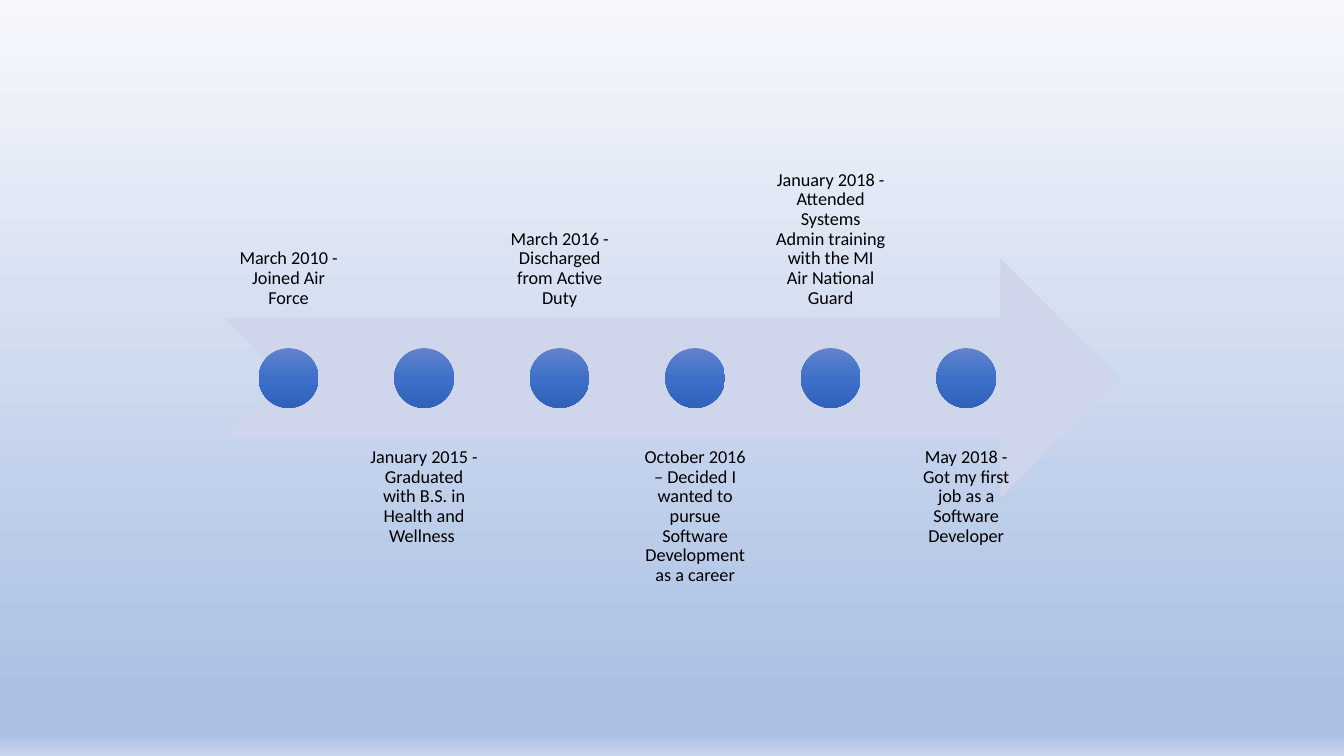
"""Build a career timeline slide with a notched arrow and six milestones."""
from lxml import etree
from pptx import Presentation
from pptx.dml.color import RGBColor
from pptx.enum.shapes import MSO_SHAPE
from pptx.enum.text import MSO_ANCHOR, PP_ALIGN
from pptx.oxml.ns import qn
from pptx.util import Inches, Pt

ARROW = MSO_SHAPE.NOTCHED_RIGHT_ARROW
CIRCLE = MSO_SHAPE.OVAL
TOP, BOTTOM = MSO_ANCHOR.TOP, MSO_ANCHOR.BOTTOM
CENTER = PP_ALIGN.CENTER

SLIDE_WIDTH, SLIDE_HEIGHT = 13.33, 7.5
BACKGROUND_STOPS = [(0, "F6F8FC"), (92, "ABC0E4"), (97, "ABC0E4"), (100, "C7D5ED")]
MARKER_STOPS = [(0, "6183CB"), (50, "3E70CA"), (100, "3062BB")]
MILESTONES = [
    "March 2010 - Joined Air Force",
    "January 2015 - Graduated with B.S. in Health and Wellness ",
    "March 2016 - Discharged from Active Duty",
    "October 2016 – Decided I wanted to pursue Software Development as a career",
    "January 2018 - Attended Systems Admin training with the MI Air National Guard",
    "May 2018 - Got my first job as a Software Developer",
]


def color(value):
    return RGBColor.from_string(value)


def write_text(frame, text, size=13, font="Calibri", ink="000000", anchor=TOP, inset=0.1):
    frame.word_wrap = True
    frame.vertical_anchor = anchor
    frame.margin_left = frame.margin_right = Inches(inset)
    frame.margin_top = frame.margin_bottom = Inches(inset)
    paragraph = frame.paragraphs[0]
    paragraph.alignment = CENTER
    paragraph.line_spacing = 0.9
    run = paragraph.add_run()
    run.text = text
    run.font.size = Pt(size)
    run.font.name = font
    run.font.color.rgb = color(ink)


class TimelineSlide:
    def __init__(self, presentation):
        self.slide = presentation.slides.add_slide(presentation.slide_layouts[6])
        self.arrow_color = "CFD5EA"
        self.left = SLIDE_WIDTH / 6
        self.width = SLIDE_WIDTH * 2 / 3
        self.middle = SLIDE_HEIGHT / 2
        self.band = self.width * 4 / 15
        self.pitch = self.width * 0.9 / (len(MILESTONES) - 0.05)
        self.column = self.pitch * 20 / 21
        self.diameter = self.band / 4

    def gradient(self, fill, element, stops):
        fill.gradient()
        fill.gradient_angle = 270
        stop_list = element.find(".//" + qn("a:gsLst"))
        for stop in list(stop_list):
            stop_list.remove(stop)
        for percent, value in stops:
            stop = etree.SubElement(stop_list, qn("a:gs"), pos=str(percent * 1000))
            etree.SubElement(stop, qn("a:srgbClr"), val=value)

    def background(self):
        self.gradient(self.slide.background.fill, self.slide.element, BACKGROUND_STOPS)

    def shape(self, kind, left, width, height):
        top = self.middle - height / 2
        shape = self.slide.shapes.add_shape(
            kind, Inches(left), Inches(top), Inches(width), Inches(height))
        shape.shadow.inherit = False
        shape.line.fill.background()
        return shape

    def arrow(self):
        shape = self.shape(ARROW, self.left, self.width, self.band)
        shape.fill.solid()
        shape.fill.fore_color.rgb = color(self.arrow_color)

    def label(self, index, text):
        above = index % 2 == 0
        top = self.middle + self.band * (-1.25 if above else 0.25)
        box = self.slide.shapes.add_textbox(
            Inches(self.left + index * self.pitch), Inches(top),
            Inches(self.column), Inches(self.band))
        write_text(box.text_frame, text, anchor=BOTTOM if above else TOP)

    def marker(self, index):
        left = self.left + index * self.pitch + (self.column - self.diameter) / 2
        shape = self.shape(CIRCLE, left, self.diameter, self.diameter)
        self.gradient(shape.fill, shape.element, MARKER_STOPS)


def main():
    presentation = Presentation()
    presentation.slide_width = Inches(SLIDE_WIDTH)
    presentation.slide_height = Inches(SLIDE_HEIGHT)
    timeline = TimelineSlide(presentation)
    timeline.background()
    timeline.arrow()
    for index, text in enumerate(MILESTONES):
        timeline.label(index, text)
        timeline.marker(index)
    presentation.save("out.pptx")


main()
